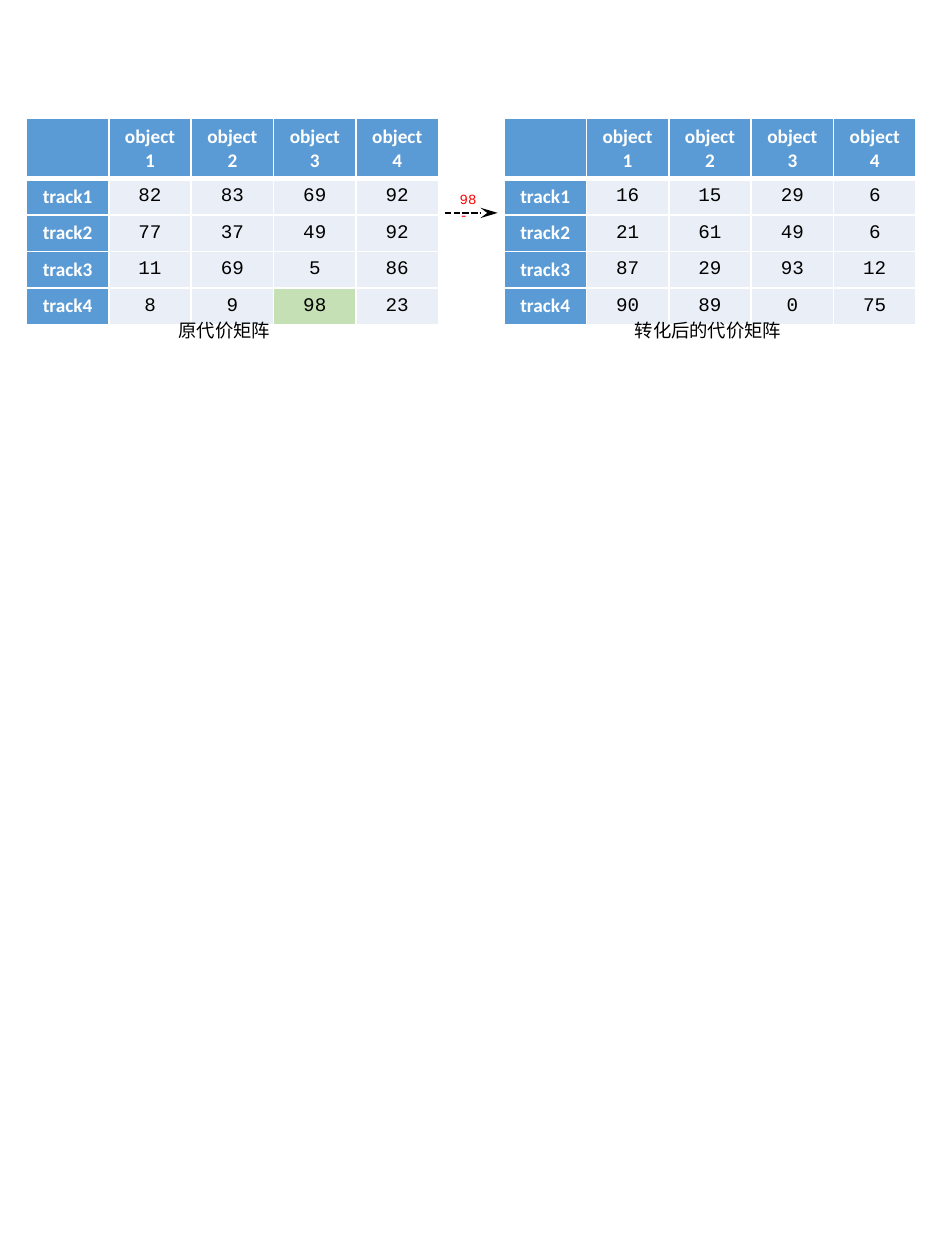
from dataclasses import dataclass

from pptx import Presentation
from pptx.dml.color import RGBColor
from pptx.enum.dml import MSO_LINE
from pptx.enum.shapes import MSO_CONNECTOR
from pptx.enum.text import MSO_ANCHOR, PP_ALIGN
from pptx.oxml import parse_xml
from pptx.oxml.ns import nsdecls
from pptx.util import Inches, Pt


@dataclass
class Theme:
    head: str = "5B9BD5"
    body: str = "EAEFF7"
    mark: str = "C5E0B4"
    white: str = "FFFFFF"
    black: str = "000000"
    red: str = "FF0000"
    sans: str = "Calibri"
    mono: str = "Courier New"
    cell: float = 11
    caption: float = 10.5
    note: float = 8


def rgb(code):
    return RGBColor.from_string(code)


class Deck:
    def __init__(self, theme, width, height):
        self.theme = theme
        self.prs = Presentation()
        self.prs.slide_width = Inches(width)
        self.prs.slide_height = Inches(height)
        self.slide = self.prs.slides.add_slide(self.prs.slide_layouts[6])

    def font(self, para, name, size, color, bold=False):
        para.font.name = name
        para.font.size = Pt(size)
        para.font.color.rgb = rgb(color)
        para.font.bold = bold

    def edges(self, cell, top, bottom):
        props = cell._tc.get_or_add_tcPr()
        sides = {"L": 1, "R": 1, "T": top, "B": bottom}
        for place, (side, width) in enumerate(sides.items()):
            props.insert(place, parse_xml(
                f'<a:ln{side} {nsdecls("a")} w="{Pt(width)}"><a:solidFill>'
                f'<a:srgbClr val="{self.theme.white}"/></a:solidFill></a:ln{side}>'))

    def matrix(self, left, top, costs, mark=None):
        t = self.theme
        count = len(costs[0])
        rows = [[""] + [f"object{n + 1}" for n in range(count)]]
        rows += [[f"track{n + 1}", *costs[n]] for n in range(len(costs))]
        grid = self.slide.shapes.add_table(
            len(rows), count + 1, Inches(left), Inches(top),
            Inches(3.27), Inches(1.57)).table
        for r, row in enumerate(rows):
            grid.rows[r].height = Inches(0.28 if r else 0.45)
            for c, value in enumerate(row):
                cell = grid.cell(r, c)
                cell.text = str(value)
                cell.vertical_anchor = MSO_ANCHOR.MIDDLE
                para = cell.text_frame.paragraphs[0]
                para.alignment = PP_ALIGN.CENTER
                cell.fill.solid()
                if r == 0 or c == 0:
                    fill = t.head
                    self.font(para, t.sans, t.cell, t.white, True)
                else:
                    fill = t.mark if value == mark else t.body
                    self.font(para, t.mono, t.cell, t.black)
                cell.fill.fore_color.rgb = rgb(fill)
                # A thick rule parts the header from the body
                self.edges(cell, 3 if r == 1 else 1, 3 if r == 0 else 1)

    def label(self, text, box, name, size, color):
        frame = self.slide.shapes.add_textbox(*map(Inches, box)).text_frame
        frame.word_wrap = False
        frame.text = text
        self.font(frame.paragraphs[0], name, size, color)

    def arrow(self, x1, x2, y):
        link = self.slide.shapes.add_connector(
            MSO_CONNECTOR.STRAIGHT, Inches(x1), Inches(y), Inches(x2), Inches(y))
        link.line.color.rgb = rgb(self.theme.black)
        link.line.width = Pt(1.25)
        link.line.dash_style = MSO_LINE.SQUARE_DOT
        link.line._get_or_add_ln().append(parse_xml(
            f'<a:tailEnd {nsdecls("a")} type="stealth" w="med" len="lg"/>'))
        link._element.spPr.append(parse_xml(f'<a:effectLst {nsdecls("a")}/>'))


def main():
    theme = Theme()
    deck = Deck(theme, 7.5, 10)

    # Cost matrix, and the same matrix taken from its largest value
    costs = [[82, 83, 69, 92], [77, 37, 49, 92], [11, 69, 5, 86], [8, 9, 98, 23]]
    peak = max(map(max, costs))
    turned = [[peak - cost for cost in row] for row in costs]
    deck.matrix(0.21, 0.94, costs, peak)
    deck.arrow(3.53, 3.95, 1.69)
    deck.matrix(4, 0.94, turned)

    # Captions and arrow label
    for text, left, width in (("原代价矩阵", 1.32, 0.94),
                              ("转化后的代价矩阵", 4.94, 1.38)):
        deck.label(text, (left, 2.48, width, 0.28),
                   theme.sans, theme.caption, theme.black)
    deck.label(f"{peak}-", (3.55, 1.46, 0.39, 0.24),
               theme.mono, theme.note, theme.red)

    deck.prs.save("out.pptx")


if __name__ == "__main__":
    main()
